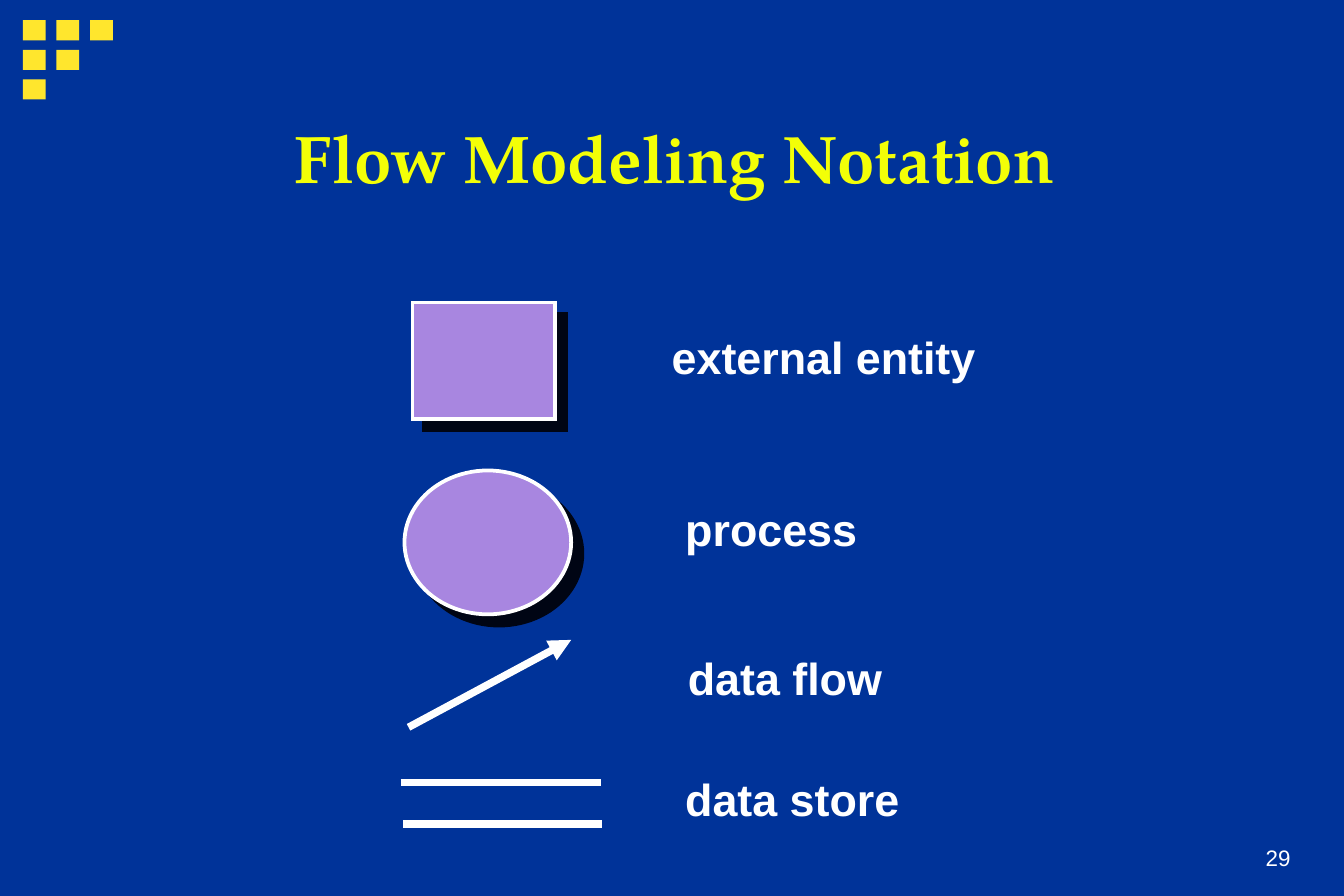
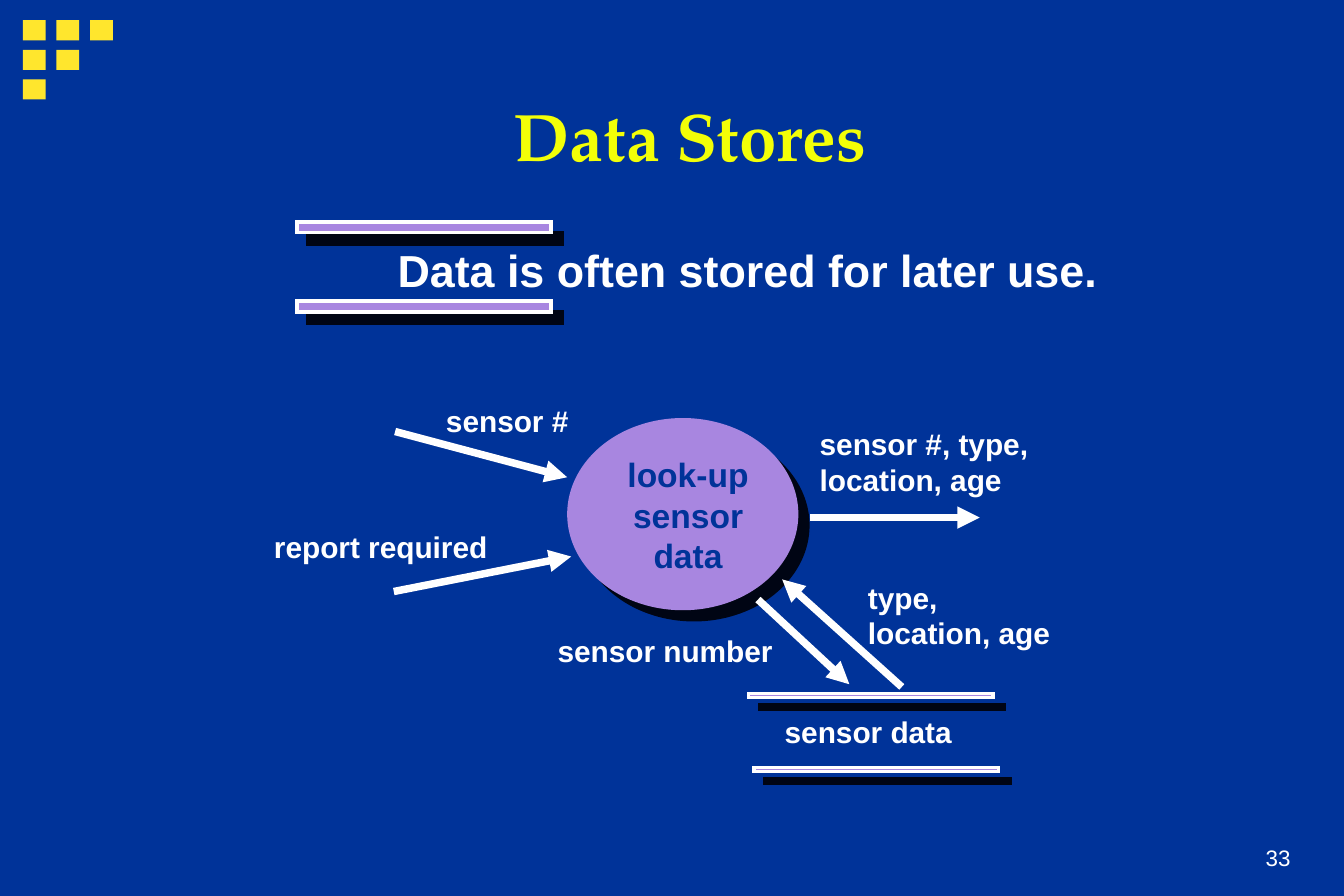
import dataclasses
import typing

import lxml.etree
import pptx
import pptx.dml.color
import pptx.enum.shapes
import pptx.enum.text
import pptx.oxml.ns
import pptx.presentation
import pptx.shapes.autoshape
import pptx.slide
import pptx.text.text
import pptx.util

Inches = pptx.util.Inches
Pt = pptx.util.Pt
RGBColor = pptx.dml.color.RGBColor
Shape = pptx.enum.shapes.MSO_SHAPE
Align = pptx.enum.text.PP_ALIGN
Anchor = pptx.enum.text.MSO_ANCHOR
AutoSize = pptx.enum.text.MSO_AUTO_SIZE
qn = pptx.oxml.ns.qn

SLIDE_WIDTH = Inches(10)
SLIDE_HEIGHT = pptx.util.Emu(6094413)

NAVY = RGBColor(0x00, 0x33, 0x99)
GOLD = RGBColor(0xFF, 0xE6, 0x2D)
YELLOW = RGBColor(0xF3, 0xFF, 0x07)
PURPLE = RGBColor(0xA8, 0x86, 0xE0)
WHITE = RGBColor(0xFF, 0xFF, 0xFF)
SHADOW = RGBColor(0x00, 0x05, 0x14)

TITLE_FONT = {"name": "TeX Gyre Pagella", "size": Pt(36), "bold": True}
LABEL_FONT = {"name": "Arial", "bold": True}
NUMBER_FONT = {"name": "Arial", "size": Pt(12), "bold": False}
TITLE_ONLY_LAYOUT = 5


@dataclasses.dataclass(frozen=True)
class Frame:
    left: float
    top: float
    width: float
    height: float

    def lengths(self) -> list[pptx.util.Length]:
        return [Inches(value) for value in dataclasses.astuple(self)]


@dataclasses.dataclass(frozen=True)
class Symbol:
    """A purple notation shape with a hard shadow."""
    frame: Frame
    kind: Shape = Shape.RECTANGLE
    outlined: bool = True


@dataclasses.dataclass(frozen=True)
class Flow:
    start: tuple[float, float]
    end: tuple[float, float]
    arrow: bool = True


@dataclasses.dataclass(frozen=True)
class Label:
    text: str
    frame: Frame
    size: int = 16
    color: RGBColor = WHITE
    align: Align = Align.LEFT


@dataclasses.dataclass(frozen=True)
class Page:
    title: str
    title_frame: Frame
    number: int
    symbols: list[Symbol]
    flows: list[Flow]
    labels: list[Label]


def format_text(text_frame: pptx.text.text.TextFrame, font: dict[str, typing.Any],
                color: RGBColor, align: Align) -> None:
    for para in text_frame.paragraphs:
        para.alignment = align
        for span in para.runs:
            for name, value in font.items():
                setattr(span.font, name, value)
            span.font.color.rgb = color


def format_frame(text_frame: pptx.text.text.TextFrame, **values: typing.Any) -> None:
    for name, value in values.items():
        setattr(text_frame, name, value)


def add_filled(slide: pptx.slide.Slide, kind: Shape, frame: Frame,
               color: RGBColor) -> pptx.shapes.autoshape.Shape:
    box = slide.shapes.add_shape(kind, *frame.lengths())
    box.fill.solid()
    box.fill.fore_color.rgb = color
    box.line.fill.background()
    box.shadow.inherit = False
    return box


def add_corner_squares(slide: pptx.slide.Slide) -> None:
    """Three rows of squares, each one shorter than the row above."""
    for row in range(3):
        for column in range(3 - row):
            frame = Frame(0.17 + 0.25 * column, 0.15 + 0.22 * row, 0.17, 0.15)
            add_filled(slide, Shape.RECTANGLE, frame, GOLD)


def add_title(slide: pptx.slide.Slide, page: Page) -> None:
    title = slide.shapes.title
    title.left, title.top, title.width, title.height = page.title_frame.lengths()
    title.text_frame.text = page.title
    format_frame(title.text_frame, auto_size=AutoSize.NONE, word_wrap=True,
                 vertical_anchor=Anchor.MIDDLE)
    format_text(title.text_frame, TITLE_FONT, YELLOW, Align.CENTER)


def add_page_number(slide: pptx.slide.Slide, number: int) -> None:
    box = slide.shapes.add_textbox(*Frame(9.01, 6.07, 0.69, 0.46).lengths())
    box.text_frame.text = str(number)
    format_frame(box.text_frame, word_wrap=True, vertical_anchor=Anchor.BOTTOM)
    format_text(box.text_frame, NUMBER_FONT, WHITE, Align.RIGHT)


def add_symbol(slide: pptx.slide.Slide, symbol: Symbol) -> None:
    box = add_filled(slide, symbol.kind, symbol.frame, PURPLE)
    properties = box._element.spPr
    if symbol.outlined:
        box.line.color.rgb = WHITE
        box.line.width = Pt(2)
        lxml.etree.SubElement(properties.find(qn("a:ln")), qn("a:miter"), lim="800000")
    shadow = lxml.etree.SubElement(properties.find(qn("a:effectLst")), qn("a:outerShdw"),
                                   dist=str(Pt(8.5)), dir=str(45 * 60000),
                                   algn="ctr", rotWithShape="0")
    lxml.etree.SubElement(shadow, qn("a:srgbClr"), val=str(SHADOW))


def add_flow(slide: pptx.slide.Slide, flow: Flow) -> None:
    ends = [Inches(value) for value in flow.start + flow.end]
    line = slide.shapes.add_connector(pptx.enum.shapes.MSO_CONNECTOR.STRAIGHT, *ends)
    line.line.color.rgb = WHITE
    line.line.width = Pt(4)
    properties = line._element.spPr
    if flow.arrow:
        lxml.etree.SubElement(properties.find(qn("a:ln")), qn("a:tailEnd"), type="triangle")
    lxml.etree.SubElement(properties, qn("a:effectLst"))


def add_label(slide: pptx.slide.Slide, label: Label) -> None:
    box = slide.shapes.add_textbox(*label.frame.lengths())
    box.text_frame.text = label.text
    format_frame(box.text_frame, word_wrap=False, auto_size=AutoSize.SHAPE_TO_FIT_TEXT)
    format_text(box.text_frame, LABEL_FONT | {"size": Pt(label.size)}, label.color,
                label.align)


def add_page(deck: pptx.presentation.Presentation, page: Page) -> None:
    slide = deck.slides.add_slide(deck.slide_layouts[TITLE_ONLY_LAYOUT])
    add_corner_squares(slide)
    add_page_number(slide, page.number)
    add_title(slide, page)
    for symbol in page.symbols:
        add_symbol(slide, symbol)
    for flow in page.flows:
        add_flow(slide, flow)
    for label in page.labels:
        add_label(slide, label)


NOTATION = Page(
    title="Flow Modeling Notation",
    title_frame=Frame(1.51, 1.02, 7.02, 0.29),
    number=29,
    symbols=[
        Symbol(Frame(3.07, 2.25, 1.06, 0.87)),
        Symbol(Frame(3.01, 3.5, 1.24, 1.07), Shape.OVAL),
    ],
    flows=[
        Flow((3.04, 5.41), (4.25, 4.76)),
        Flow((2.98, 5.82), (4.47, 5.82), arrow=False),
        Flow((3, 6.13), (4.48, 6.13), arrow=False),
    ],
    labels=[
        Label("external entity", Frame(4.9, 2.4, 2.47, 0.5), 24),
        Label("process", Frame(5, 3.68, 1.49, 0.5), 24),
        Label("data flow", Frame(5.02, 4.79, 1.67, 0.5), 24),
        Label("data store", Frame(5, 5.69, 1.81, 0.5), 24),
    ],
)

DATA_STORES = Page(
    title="Data Stores",
    title_frame=Frame(1.22, 0.38, 7.83, 1.25),
    number=33,
    symbols=[
        Symbol(Frame(2.21, 1.65, 1.89, 0.08)),
        Symbol(Frame(2.21, 2.24, 1.89, 0.08)),
        Symbol(Frame(4.22, 3.11, 1.72, 1.43), Shape.OVAL, outlined=False),
        Symbol(Frame(5.57, 5.16, 1.82, 0.03)),
        Symbol(Frame(5.61, 5.71, 1.82, 0.03)),
    ],
    flows=[
        Flow((2.94, 3.21), (4.22, 3.55)),
        Flow((2.93, 4.4), (4.25, 4.14)),
        Flow((6.03, 3.85), (7.29, 3.85)),
        Flow((5.64, 4.46), (6.32, 5.09)),
        Flow((6.71, 5.11), (5.82, 4.31)),
    ],
    labels=[
        Label("Data is often stored for later use.", Frame(2.86, 1.76, 5.43, 0.5), 24),
        Label("look-up\nsensor\ndata", Frame(4.57, 3.33, 1.1, 1.3), 18, NAVY, Align.CENTER),
        Label("sensor #", Frame(3.22, 2.95, 1.13, 0.36)),
        Label("report required", Frame(1.94, 3.88, 1.81, 0.36)),
        Label("sensor #, type,\nlocation, age", Frame(6, 3.12, 1.81, 0.63)),
        Label("sensor data", Frame(5.74, 5.26, 1.47, 0.36)),
        Label("sensor number", Frame(4.05, 4.66, 1.82, 0.36)),
        Label("type,\nlocation, age", Frame(6.36, 4.26, 1.58, 0.63)),
    ],
)


def main() -> None:
    deck = pptx.Presentation()
    deck.slide_width, deck.slide_height = SLIDE_WIDTH, SLIDE_HEIGHT
    background = deck.slide_master.background.fill
    background.solid()
    background.fore_color.rgb = NAVY
    for page in (NOTATION, DATA_STORES):
        add_page(deck, page)
    deck.save("out.pptx")


if __name__ == "__main__":
    main()
